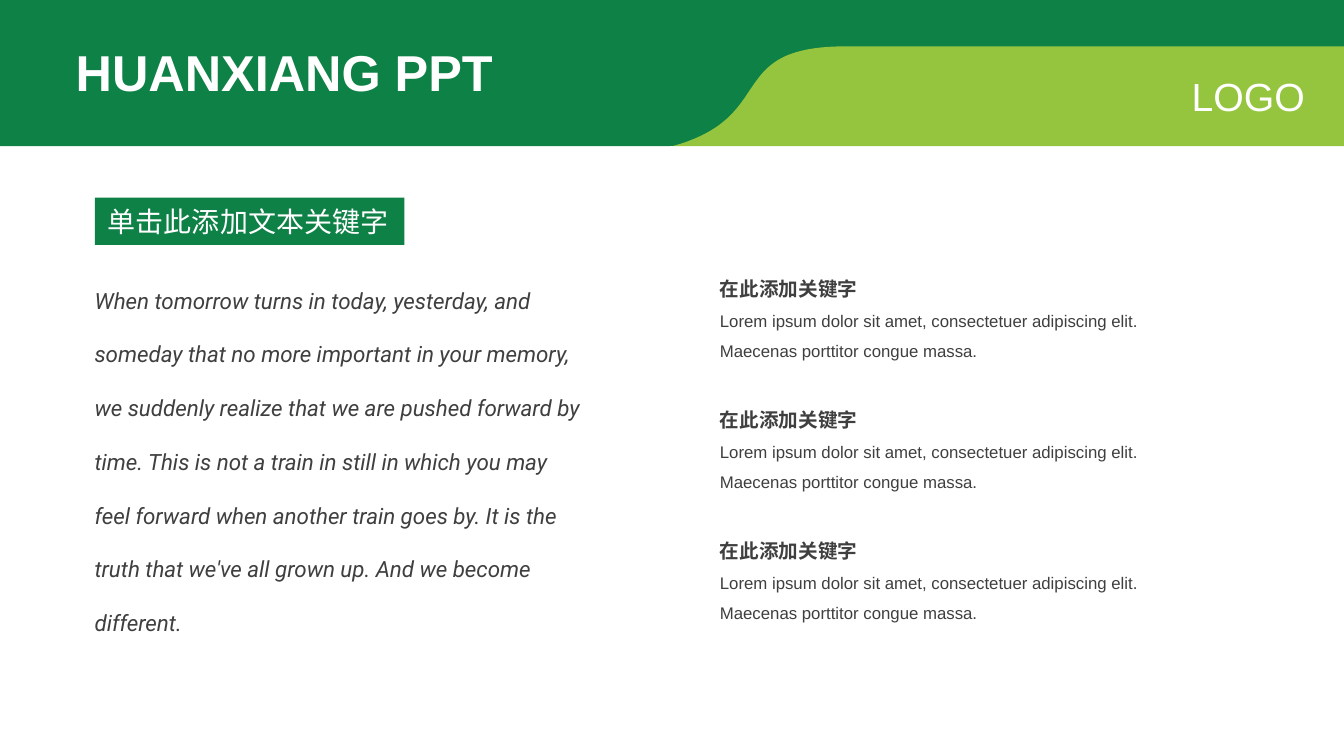
from dataclasses import dataclass

import pptx
import pptx.dml.color
import pptx.enum.shapes
import pptx.enum.text
import pptx.util

Inches = pptx.util.Inches
Point = tuple[float, float]
ALIGN = pptx.enum.text.PP_ALIGN

GREEN = "0E8146"
LIME = "95C53E"
WHITE = "FFFFFF"
GREY = "3F3F3F"
WIDE_INSETS = (0.13, 0.07)


@dataclass
class Band:
    color: str
    before_curve: list[Point]
    curve: tuple[Point, Point, Point, Point]
    after_curve: list[Point]


@dataclass
class KeywordBlock:
    heading: str
    body: str


BANDS = [
    Band(GREEN, [(0, 0), (13.33, 0), (13.33, 0.5), (8.27, 0.5)],
         ((8.09, 0.56), (7.27, 0.86), (7.7, 1.45), (6.55, 1.45)), [(0, 1.45)]),
    Band(LIME, [(8.39, 0.46), (13.33, 0.46), (13.33, 1.45)],
         ((6.67, 1.45), (7.73, 1.16), (7.17, 0.46), (8.39, 0.46)), []),
]
KEYWORD_BLOCKS = [
    KeywordBlock(
        "在此添加关键字",
        "Lorem ipsum dolor sit amet, consectetuer adipiscing elit. "
        "Maecenas porttitor congue massa.",
    )
] * 3
QUOTE = (
    "When tomorrow turns in today, yesterday, and someday that no more important "
    "in your memory, we suddenly realize that we are pushed forward by time. "
    "This is not a train in still in which you may feel forward when another "
    "train goes by. It is the truth that we've all grown up. And we become different."
)


def rgb(color: str) -> pptx.dml.color.RGBColor:
    return pptx.dml.color.RGBColor.from_string(color)


def fill_plain(shape, color: str) -> None:
    shape.fill.solid()
    shape.fill.fore_color.rgb = rgb(color)
    shape.line.fill.background()
    shape.shadow.inherit = False


def curve_points(curve: tuple[Point, Point, Point, Point], steps: int = 40) -> list[Point]:
    """Points along a cubic Bezier curve."""
    points = []
    for step in range(steps + 1):
        t = step / steps
        weights = ((1 - t) ** 3, 3 * t * (1 - t) ** 2, 3 * t ** 2 * (1 - t), t ** 3)
        x, y = (sum(w * p[axis] for w, p in zip(weights, curve)) for axis in (0, 1))
        points.append((x, y))
    return points


def add_band(slide, band: Band) -> None:
    outline = band.before_curve + curve_points(band.curve) + band.after_curve
    points = [(Inches(x), Inches(y)) for x, y in outline]
    builder = slide.shapes.build_freeform(*points[0])
    builder.add_line_segments(points[1:], close=True)
    fill_plain(builder.convert_to_shape(), band.color)


def prepare_frame(shape, wrap: bool, insets: Point = (0.1, 0.05)) -> None:
    frame = shape.text_frame
    frame.word_wrap = wrap
    frame.auto_size = pptx.enum.text.MSO_AUTO_SIZE.SHAPE_TO_FIT_TEXT
    frame.vertical_anchor = pptx.enum.text.MSO_ANCHOR.TOP
    frame.margin_left = frame.margin_right = Inches(insets[0])
    frame.margin_top = frame.margin_bottom = Inches(insets[1])


def write(paragraph, text: str, *, size: float, color: str, font: str = "Arial",
          bold: bool = False, italic: bool = False, spacing: float = 1.0,
          align: ALIGN = ALIGN.LEFT) -> None:
    paragraph.alignment = align
    paragraph.line_spacing = spacing
    run = paragraph.add_run()
    run.text = text
    run.font.name = font
    run.font.size = pptx.util.Pt(size)
    run.font.bold = bold
    run.font.italic = italic
    run.font.color.rgb = rgb(color)


def add_box(slide, left: float, top: float, width: float, height: float,
            wrap: bool = True, insets: Point = (0.1, 0.05)):
    box = slide.shapes.add_textbox(Inches(left), Inches(top), Inches(width), Inches(height))
    prepare_frame(box, wrap, insets)
    return box.text_frame


def main() -> None:
    presentation = pptx.Presentation()
    presentation.slide_width = Inches(13.33)
    presentation.slide_height = Inches(7.5)
    slide = presentation.slides.add_slide(presentation.slide_layouts[5])

    # Header bands
    for band in BANDS:
        add_band(slide, band)

    # Title, brought in front of the bands
    title = slide.shapes.title
    title.left, title.top = Inches(0.65), Inches(0.36)
    title.width, title.height = Inches(4.38), Inches(0.71)
    title.element.getparent().append(title.element)
    prepare_frame(title, wrap=False)
    write(title.text_frame.paragraphs[0], "HUANXIANG PPT", size=36, color=WHITE, bold=True)

    # Label at the right of the header
    label = add_box(slide, 11.7, 0.67, 1.34, 0.57, wrap=False)
    write(label.paragraphs[0], "LOGO", size=28, color=WHITE, align=ALIGN.RIGHT)

    # Keyword tag and quote
    tag = slide.shapes.add_shape(pptx.enum.shapes.MSO_SHAPE.RECTANGLE,
                                 Inches(0.94), Inches(1.96), Inches(3.07), Inches(0.47))
    fill_plain(tag, GREEN)
    prepare_frame(tag, wrap=False, insets=WIDE_INSETS)
    write(tag.text_frame.paragraphs[0], "单击此添加文本关键字", size=20, color=WHITE)

    quote = add_box(slide, 0.84, 2.53, 5.06, 3.87)
    write(quote.paragraphs[0], QUOTE, size=16, color=GREY, font="Roboto",
          italic=True, spacing=2.0)

    # Keyword blocks in the right column
    for index, block in enumerate(KEYWORD_BLOCKS):
        frame = add_box(slide, 7.01, 2.56 + 1.3 * index, 4.49, 1.09, insets=WIDE_INSETS)
        write(frame.paragraphs[0], block.heading, size=14, color=GREY, bold=True, spacing=1.5)
        write(frame.add_paragraph(), block.body, size=12, color=GREY, spacing=1.5)

    presentation.save("out.pptx")


if __name__ == "__main__":
    main()
